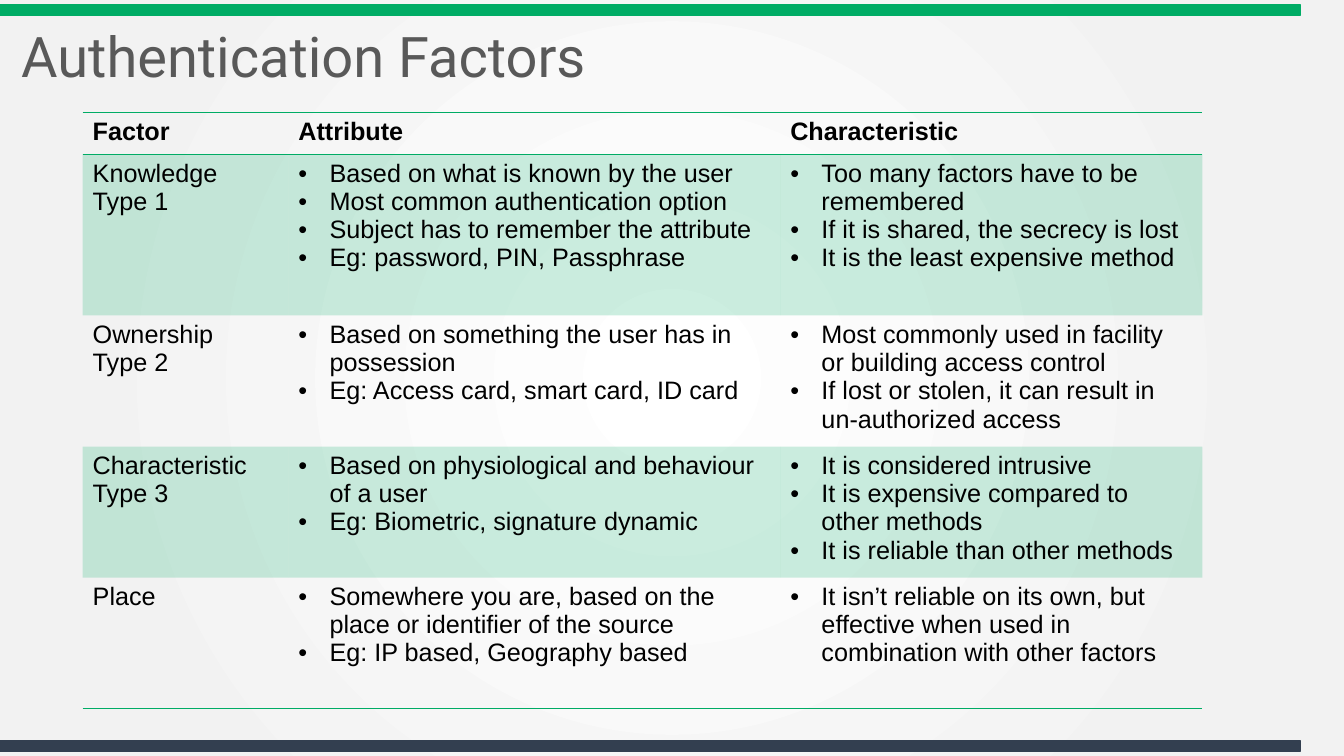
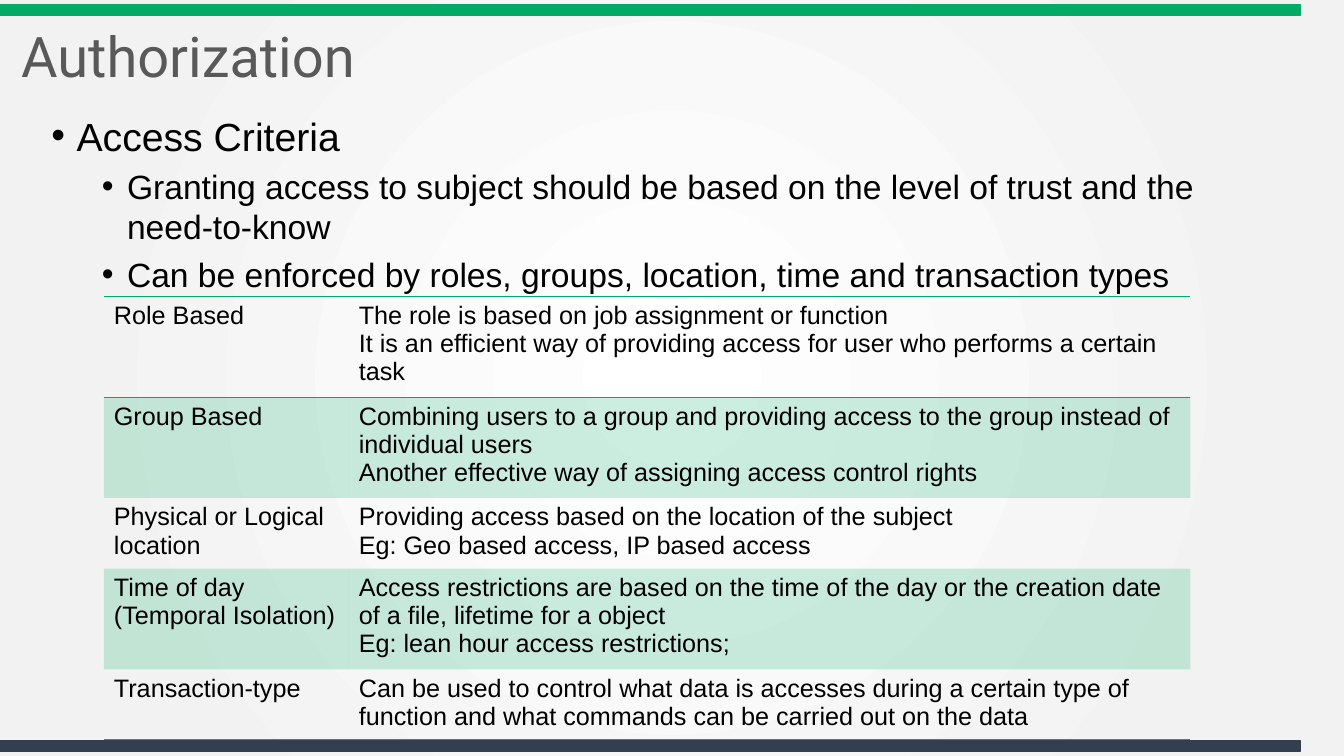
from lxml import etree
from pptx import Presentation
from pptx import util as u
from pptx.dml.color import RGBColor
from pptx.enum import shapes, text
from pptx.oxml import ns, parse_xml

GREEN = RGBColor(0x00, 0xAC, 0x65)
NAVY = RGBColor(0x33, 0x3F, 0x50)
GRAY = RGBColor(0x59, 0x59, 0x59)
BLACK = RGBColor(0x00, 0x00, 0x00)
WHITE = RGBColor(0xFF, 0xFF, 0xFF)
MIST = RGBColor(0xF2, 0xF2, 0xF2)

TITLE_FONT, BODY_FONT = "Roboto", "Arial"
COLUMNS, ROWS = 40, 30  # grid on the slide
TITLE_ONLY, TITLE_AND_BODY = 5, 1  # layouts of the template
PLAIN_TABLE = "{2D5ABB26-0587-4C30-8999-92F81FD0307C}"
BAND_OPACITY = 20
BODY_LEVELS = [(28, 0.25, 10), (24, 0.75, 5)]  # size, indent, space before

FACTORS = [
    [["Factor"], ["Attribute"], ["Characteristic"]],
    [["Knowledge", "Type 1"],
     ["Based on what is known by the user",
      "Most common authentication option",
      "Subject has to remember the attribute",
      "Eg: password, PIN, Passphrase"],
     ["Too many factors have to be remembered",
      "If it is shared, the secrecy is lost",
      "It is the least expensive method"]],
    [["Ownership", "Type 2"],
     ["Based on something the user has in possession",
      "Eg: Access card, smart card, ID card"],
     ["Most commonly used in facility or building access control",
      "If lost or stolen, it can result in un-authorized access"]],
    [["Characteristic", "Type 3"],
     ["Based on physiological and behaviour of a user",
      "Eg: Biometric, signature dynamic"],
     ["It is considered intrusive",
      "It is expensive compared to other methods",
      "It is reliable than other methods"]],
    [["Place"],
     ["Somewhere you are, based on the place or identifier of the source",
      "Eg: IP based, Geography based"],
     ["It isn’t reliable on its own, but effective when used in "
      "combination with other factors"]],
]

CRITERIA = [
    (0, "Access Criteria"),
    (1, "Granting access to subject should be based on the level of trust "
        "and the need-to-know"),
    (1, "Can be enforced by roles, groups, location, time and transaction types"),
]

ACCESS_TYPES = [
    [["Role Based"],
     ["The role is based on job assignment or function",
      "It is an efficient way of providing access for user who performs "
      "a certain task"]],
    [["Group Based"],
     ["Combining users to a group and providing access to the group "
      "instead of individual users",
      "Another effective way of assigning access control rights"]],
    [["Physical or Logical location"],
     ["Providing access based on the location of the subject",
      "Eg: Geo based access, IP based access"]],
    [["Time of day (Temporal Isolation)"],
     ["Access restrictions are based on the time of the day or the "
      "creation date of a file, lifetime for a object",
      "Eg: lean hour access restrictions;"]],
    [["Transaction-type"],
     ["Can be used to control what data is accesses during a certain type "
      "of function and what commands can be carried out on the data"]],
]


class Designer:
    """Holds the shared style and the page being drawn."""

    def __init__(self):
        self.deck = Presentation()
        self.deck.slide_width, self.deck.slide_height = u.Inches(13.33), u.Inches(7.5)
        self.page = None
        self.set_background()

    def across(self, columns):
        return round(self.deck.slide_width * columns / COLUMNS)

    def down(self, rows):
        return round(self.deck.slide_height * rows / ROWS)

    def frame(self, left, top, width, height):
        return self.across(left), self.down(top), self.across(width), self.down(height)

    def set_background(self):
        master = self.deck.slide_master
        master.background.fill.gradient()
        gradient = master.element.cSld.find(".//" + ns.qn("a:gradFill"))
        stops = "".join(
            f'<a:gs pos="{share * 1000}"><a:srgbClr val="{color}"/></a:gs>'
            for share, color in [(0, WHITE), (81, MIST), (100, MIST)])
        radial = parse_xml(
            f'<a:gradFill {ns.nsdecls("a")} rotWithShape="1"><a:gsLst>{stops}</a:gsLst>'
            '<a:path path="circle"><a:fillToRect l="50000" t="50000" r="50000" '
            'b="50000"/></a:path></a:gradFill>')
        gradient.getparent().replace(gradient, radial)

    def new_page(self, layout, title):
        self.page = self.deck.slides.add_slide(self.deck.slide_layouts[layout])
        self.band(0.2, GREEN)
        self.band(29.4, NAVY)
        self.title(title)

    def band(self, top, color):
        bar = self.page.shapes.add_shape(
            shapes.MSO_SHAPE.RECTANGLE, *self.frame(0, top, 38.7, 0.4))
        bar.shadow.inherit = False
        bar.fill.solid()
        bar.fill.fore_color.rgb = color
        bar.line.color.rgb = color
        bar.line.width = u.Pt(1)

    def place(self, box, frame, anchor):
        box.left, box.top, box.width, box.height = self.frame(*frame)
        box.text_frame.word_wrap = True
        box.text_frame.auto_size = text.MSO_AUTO_SIZE.NONE
        box.text_frame.vertical_anchor = anchor

    def title(self, words):
        box = self.page.shapes.title
        self.place(box, (0.33, 0.76, 35.1, 3.2), text.MSO_ANCHOR.MIDDLE)
        para = box.text_frame.paragraphs[0]
        para.line_spacing = 0.9
        self.span(para, words, 40, GRAY, TITLE_FONT)

    def body(self, frame, items):
        box = self.page.placeholders[1]
        self.place(box, frame, text.MSO_ANCHOR.TOP)
        for para, (level, words) in zip(self.paras(box.text_frame, len(items)), items):
            size, indent, before = BODY_LEVELS[level]
            para.level = level
            para.line_spacing = 1.0
            para.space_before = u.Pt(before)
            self.bullet(para, indent, 0.25)
            self.span(para, words, size)

    def paras(self, text_frame, count):
        for _ in range(count - 1):
            text_frame.add_paragraph()
        return text_frame.paragraphs

    def span(self, para, words, size, color=BLACK, font=BODY_FONT, bold=False):
        para.alignment = text.PP_ALIGN.LEFT
        span = para.add_run()
        span.text = words
        span.font.size, span.font.name = u.Pt(size), font
        span.font.bold = bold
        span.font.color.rgb = color

    def bullet(self, para, indent, hanging):
        props = para._p.get_or_add_pPr()
        props.set("marL", str(u.Inches(indent)))
        props.set("indent", str(-u.Inches(hanging)))
        etree.SubElement(props, ns.qn("a:buFont")).set("typeface", "Arial")
        etree.SubElement(props, ns.qn("a:buChar")).set("char", "•")

    def table(self, left, top, widths, heights, rows, header=False, bullets=False):
        table = self.page.shapes.add_table(
            len(rows), len(widths),
            *self.frame(left, top, sum(widths), sum(heights))).table
        table.first_row = header
        table.horz_banding = False
        table._tbl.tblPr.find(ns.qn("a:tableStyleId")).text = PLAIN_TABLE
        for column, width in zip(table.columns, widths):
            column.width = self.across(width)
        for line, height in zip(table.rows, heights):
            line.height = self.down(height)
        for r, row in enumerate(rows):
            is_header = header and r == 0
            sides = {0: ("lnT", "lnB"), len(rows) - 1: ("lnB",)}.get(r, ())
            for c, lines in enumerate(row):
                cell = table.cell(r, c)
                for para, words in zip(self.paras(cell.text_frame, len(lines)), lines):
                    if bullets and c and not is_header:
                        self.bullet(para, 0.31, 0.31)
                    self.span(para, words, 18, bold=is_header)
                self.cell_style(cell, r % 2 == 1, sides)

    def cell_style(self, cell, tinted, sides):
        props = cell._tc.get_or_add_tcPr()
        if tinted:
            cell.fill.solid()
            cell.fill.fore_color.rgb = GREEN
            tint = props.find(".//" + ns.qn("a:srgbClr"))
            etree.SubElement(tint, ns.qn("a:alpha")).set("val", str(BAND_OPACITY * 1000))
        else:
            cell.fill.background()
        # Borders come before the fill
        for position, side in enumerate(sides):
            props.insert(position, parse_xml(
                f'<a:{side} {ns.nsdecls("a")} w="{u.Pt(1)}"><a:solidFill>'
                f'<a:srgbClr val="{GREEN}"/></a:solidFill></a:{side}>'))


def main():
    designer = Designer()

    # Authentication factors
    designer.new_page(TITLE_ONLY, "Authentication Factors")
    designer.table(2.46, 4.48, [6.12, 14.64, 12.57], [1.64, 6.4, 5.2, 5.2, 5.2],
                   FACTORS, header=True, bullets=True)

    # Authorization
    designer.new_page(TITLE_AND_BODY, "Authorization")
    designer.body((1.23, 4.24, 36.96, 24.88), CRITERIA)
    designer.table(3.09, 11.76, [7.29, 25.05], [4, 4, 2.8, 4, 2.8], ACCESS_TYPES)

    designer.deck.save("out.pptx")


if __name__ == "__main__":
    main()
